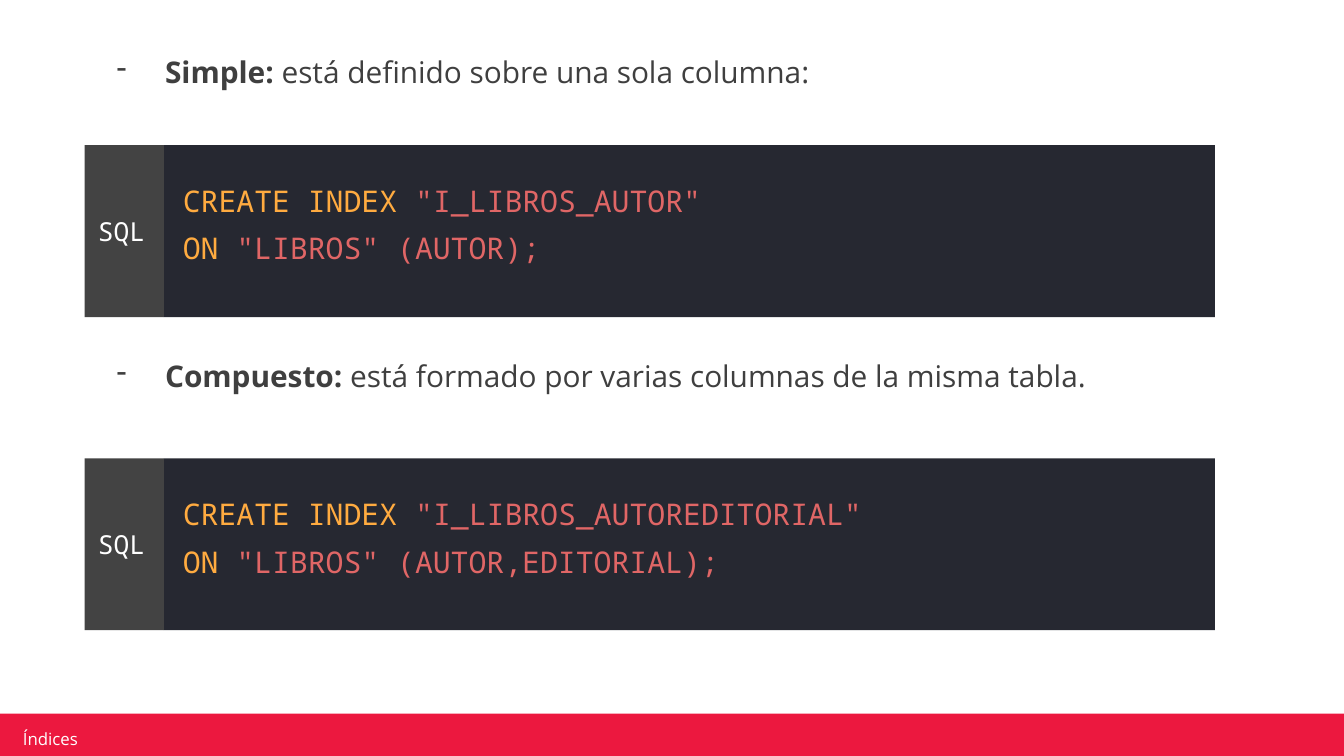
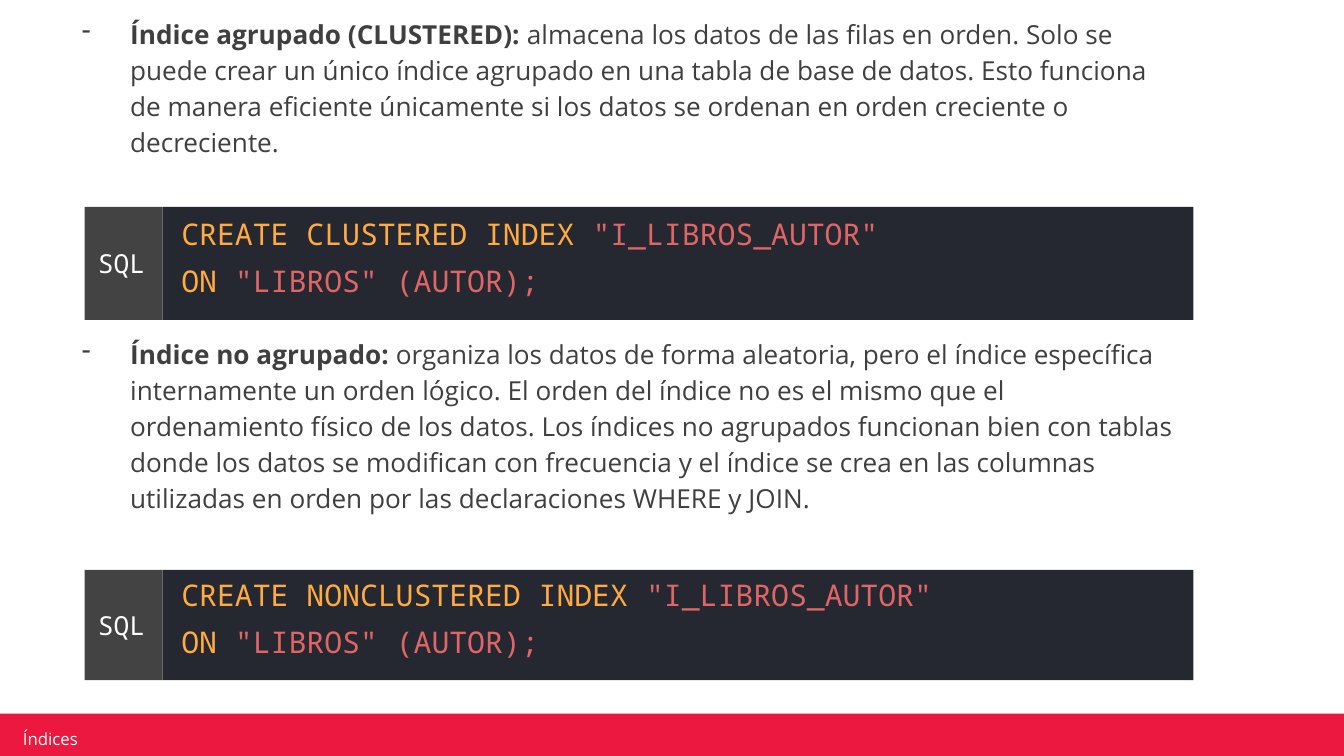
import pptx
import pptx.util
import pptx.dml.color
import pptx.enum.shapes
import pptx.enum.text
import lxml.etree

Inches, Pt = pptx.util.Inches, pptx.util.Pt
RECT = pptx.enum.shapes.MSO_SHAPE.RECTANGLE
ANCHOR = pptx.enum.text.MSO_ANCHOR
LEFT = pptx.enum.text.PP_ALIGN.LEFT

# Shared look
RED, INK, WHITE = "EC183F", "3F3F3F", "FFFFFF"
CODE_BG, TAB_BG, KEYWORD, NAME = "262831", "434343", "FFAB40", "E06666"
SANS, MONO = "Open Sans", "Noto Sans Mono"
MARGIN = 0.63
BAND_TOP = 5.31


def paint(fill_or_font, color):
    """Give a shape's fill or a run's font a hex colour."""
    if hasattr(fill_or_font, "solid"):
        fill_or_font.solid()
        target = fill_or_font.fore_color
    else:
        target = fill_or_font.color
    target.rgb = pptx.dml.color.RGBColor.from_string(color)


def write(shape, lines, font, size, insets, anchor=ANCHOR.MIDDLE, before=0):
    """Fill a shape with lines, each a list of (text, colour, bold) runs."""
    tf = shape.text_frame
    tf.word_wrap = True
    tf.vertical_anchor = anchor
    tf.margin_left, tf.margin_top, tf.margin_right, tf.margin_bottom = map(Inches, insets)
    for i, runs in enumerate(lines):
        p = tf.add_paragraph() if i else tf.paragraphs[0]
        p.alignment = LEFT
        p.space_before = Pt(before)
        p.font.name, p.font.size = font, Pt(size)
        for text, color, bold in runs:
            r = p.add_run()
            r.text = text
            r.font.bold = bold
            paint(r.font, color)
    return tf


# Each slide: left of text, text size, code split, right edge, then its blocks:
# (text top, text height, code top, code height, term, meaning, code lines)
slides = [
    (MARGIN, 16, 1.22, 9.04, [
        (0.26, 0.68, 1.08, 1.28, "Simple:", " está definido sobre una sola columna:",
         [("CREATE INDEX ", '"I_LIBROS_AUTOR"'), ("ON ", '"LIBROS" (AUTOR);')]),
        (2.52, 0.58, 3.41, 1.28, "Compuesto:",
         " está formado por varias columnas de la misma tabla.",
         [("CREATE INDEX ", '"I_LIBROS_AUTOREDITORIAL"'),
          ("ON ", '"LIBROS" (AUTOR,EDITORIAL);')]),
    ]),
    (0.37, 14, 1.21, 8.88, [
        (0, 1.39, 1.54, 0.84, "Índice agrupado (CLUSTERED): ",
         "almacena los datos de las filas en orden. Solo se puede crear un único índice "
         "agrupado en una tabla de base de datos. Esto funciona de manera eficiente "
         "únicamente si los datos se ordenan en orden creciente o decreciente.",
         [("CREATE CLUSTERED INDEX ", '"I_LIBROS_AUTOR"'), ("ON ", '"LIBROS" (AUTOR);')]),
        (2.38, 1.71, 4.24, 0.82, "Índice no agrupado: ",
         "organiza los datos de forma aleatoria, pero el índice específica internamente un "
         "orden lógico. El orden del índice no es el mismo que el ordenamiento físico de los "
         "datos. Los índices no agrupados funcionan bien con tablas donde los datos se "
         "modifican con frecuencia y el índice se crea en las columnas utilizadas en orden "
         "por las declaraciones WHERE y JOIN.",
         [("CREATE NONCLUSTERED INDEX ", '"I_LIBROS_AUTOR"'), ("ON ", '"LIBROS" (AUTOR);')]),
    ]),
]

prs = pptx.Presentation()
prs.slide_width = Inches(10)
prs.slide_height = prs.slide_width * 9 // 16

for text_left, text_size, split, right, blocks in slides:
    s = prs.slides.add_slide(prs.slide_layouts[6])
    paint(s.background.fill, WHITE)

    # Footer band
    top = Inches(BAND_TOP)
    band = s.shapes.add_shape(RECT, 0, top, prs.slide_width, prs.slide_height - top)
    band.shadow.inherit = False
    paint(band.fill, RED)
    band.line.fill.background()
    footer = s.shapes.add_textbox(Inches(0.12), Inches(5.42), Inches(2.39), Inches(0.15))
    write(footer, [[("Índices", WHITE, False)]], SANS, 9, (0.05, 0.02, 0.05, 0.02))

    for text_top, text_height, code_top, code_height, term, meaning, code in blocks:
        # Definition with a dash bullet
        box = s.shapes.add_textbox(Inches(text_left), Inches(text_top),
                                   Inches(8.51), Inches(text_height))
        tf = write(box, [[(term, INK, True), (meaning, INK, False)]], SANS, text_size,
                   (0.1, 0.1, 0.1, 0.1), ANCHOR.TOP, 10)
        p = tf.paragraphs[0]
        p.line_spacing = 1.15
        pPr = p._p.get_or_add_pPr()
        pPr.set("marL", str(Inches(0.5)))
        pPr.set("indent", str(Inches(-0.36)))
        ns = pptx.oxml.ns.qn
        bullet_color = lxml.etree.Element(ns("a:buClr"))
        lxml.etree.SubElement(bullet_color, ns("a:srgbClr"), val=INK)
        bullet = lxml.etree.Element(ns("a:buChar"), char="-")
        default_font = pPr.find(ns("a:defRPr"))
        default_font.addprevious(bullet_color)
        default_font.addprevious(bullet)

        # Code panel and its language tab
        code_lines = [[(word, KEYWORD, False), (rest, NAME, False)] for word, rest in code]
        group = s.shapes.add_group_shape()
        for left, end, color, lines, size, insets, before in [
            (split, right, CODE_BG, code_lines, 16, (0.14, 0, 0.1, 0.1), 6),
            (MARGIN, split, TAB_BG, [[("SQL", WHITE, False)]], 14, (0.1, 0.1, 0.1, 0.1), 0),
        ]:
            sp = group.shapes.add_shape(RECT, Inches(left), Inches(code_top),
                                        Inches(end - left), Inches(code_height))
            sp.shadow.inherit = False
            paint(sp.fill, color)
            sp.line.fill.background()
            write(sp, lines, MONO, size, insets, before=before)

prs.save("out.pptx")
